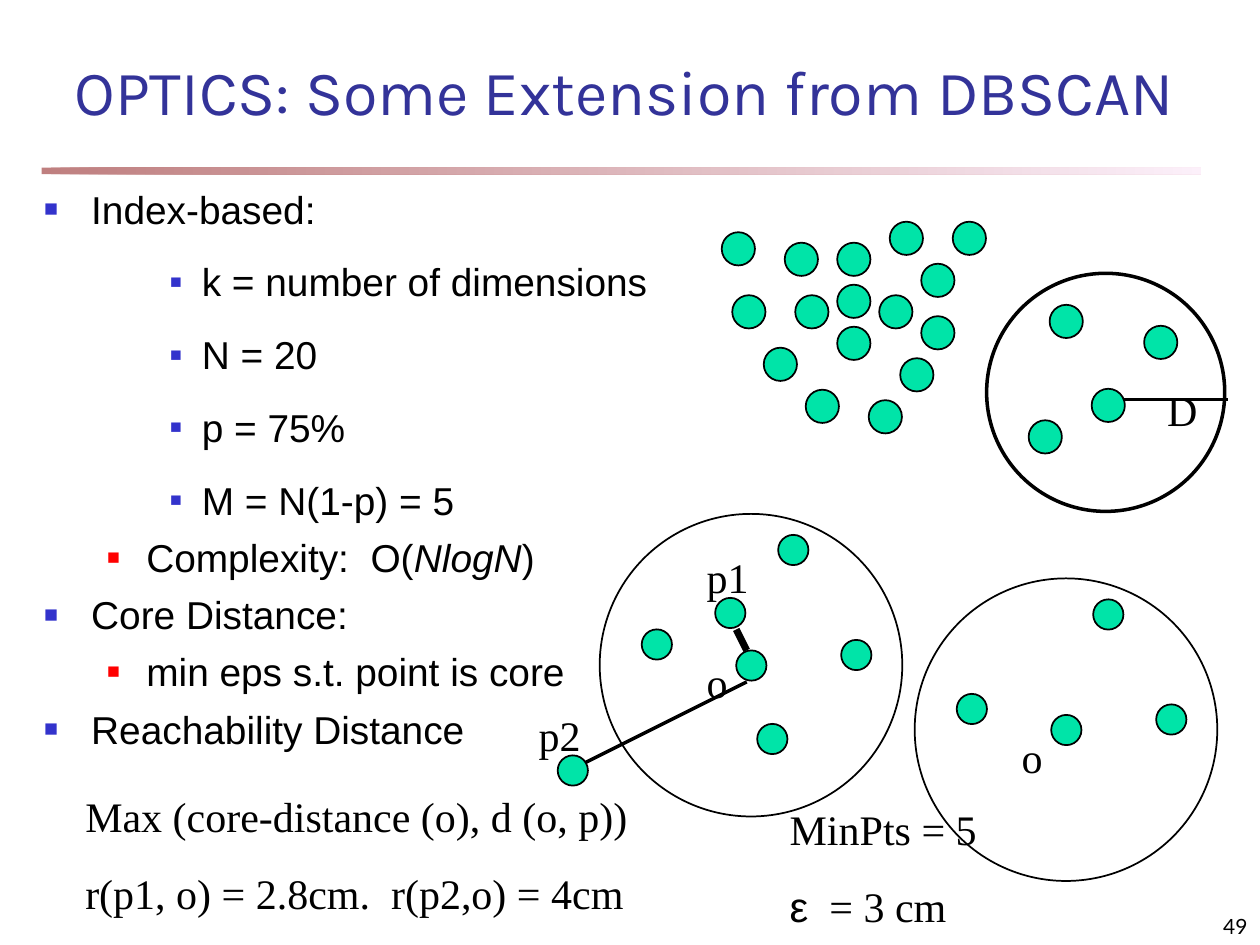
from dataclasses import dataclass

from lxml import etree
from pptx import Presentation
from pptx.dml.color import RGBColor
from pptx.enum.shapes import MSO_CONNECTOR, MSO_SHAPE
from pptx.enum.text import MSO_ANCHOR, PP_ALIGN
from pptx.oxml.ns import qn
from pptx.util import Cm, Pt

OVAL, BAR = MSO_SHAPE.OVAL, MSO_SHAPE.RECTANGLE
STRAIGHT = MSO_CONNECTOR.STRAIGHT
TOP, MIDDLE, BOTTOM = MSO_ANCHOR.TOP, MSO_ANCHOR.MIDDLE, MSO_ANCHOR.BOTTOM
LEFT, CENTER, RIGHT = PP_ALIGN.LEFT, PP_ALIGN.CENTER, PP_ALIGN.RIGHT
STEP = 2.54 / 12


@dataclass(frozen=True)
class Theme:
    """Colours, fonts and type sizes of the slide."""
    title: str = "333399"
    ink: str = "000000"
    dot: str = "00E4A8"
    blue_bullet: str = "3333CC"
    red_bullet: str = "FF0000"
    bar_start: str = "800000"
    bar_end: str = "FAE2F6"
    title_font: str = "Karla"
    body_font: str = "Arial"
    label_font: str = "Times New Roman"
    number_font: str = "Lato"
    title_size: float = 36
    body_size: float = 22.2
    label_size: float = 24
    number_size: float = 12


THEME = Theme()

LEVELS = [
    (0.95, -0.95, 6, THEME.blue_bullet, 60),
    (2.06, -0.79, 6, THEME.red_bullet, 55),
    (3.18, -0.64, 15, THEME.blue_bullet, 50),
]
OUTLINE = [
    (0, ["Index-based:"]),
    (2, ["k = number of dimensions"]),
    (2, ["N = 20"]),
    (2, ["p = 75%"]),
    (2, ["M = N(1-p) = 5"]),
    (1, ["Complexity:  O(", "NlogN", ")"]),
    (0, ["Core Distance:"]),
    (1, ["min eps s.t. point is core"]),
    (0, ["Reachability Distance"]),
]
CLUSTER = [(0, 1), (1, 7), (4, 12), (6, 2), (7, 7), (8, 16), (11, 2), (11, 6),
           (11, 10), (14, 17), (15, 7), (16, 0), (17, 13), (19, 4), (19, 9), (22, 0)]
DISTANCE = [(4, 14), (6, 3), (10, 11), (15, 5)]
OBJECT = [(4, 11), (13, 13), (17, 2), (23, 12)]
REACHABLE = OBJECT + [(11, 8), (15, 20), (-4, 23)]


def style_font(font, name, size, color):
    """Set typeface, size and colour."""
    font.name, font.size = name, Pt(size)
    font.color.rgb = RGBColor.from_string(color)


def add_oval(slide, left, top, size, width, fill=None):
    """Draw an outlined circle, filled when a colour is given."""
    oval = slide.shapes.add_shape(OVAL, Cm(left), Cm(top), Cm(size), Cm(size))
    oval.shadow.inherit = False
    if fill:
        oval.fill.solid()
        oval.fill.fore_color.rgb = RGBColor.from_string(fill)
    else:
        oval.fill.background()
    oval.line.color.rgb = RGBColor.from_string(THEME.ink)
    oval.line.width = Pt(width)


def add_dots(slide, left, top, points, size):
    """Draw data points placed in grid steps from a corner."""
    for column, row in points:
        add_oval(slide, left + column * STEP, top + row * STEP, size, 1, THEME.dot)


def add_line(slide, start, end, width):
    """Draw a straight line between two positions."""
    line = slide.shapes.add_connector(STRAIGHT, *map(Cm, start + end))
    line.line.color.rgb = RGBColor.from_string(THEME.ink)
    line.line.width = Pt(width)
    etree.SubElement(line._element.spPr, qn("a:effectLst"))


def add_text(slide, box, lines, font=THEME.label_font, size=THEME.label_size,
             align=LEFT, anchor=TOP):
    """Place lines of text in a box; each line is a list of runs."""
    frame = slide.shapes.add_textbox(*map(Cm, box)).text_frame
    frame.word_wrap, frame.vertical_anchor = True, anchor
    for index, texts in enumerate(lines):
        paragraph = frame.add_paragraph() if index else frame.paragraphs[0]
        paragraph.alignment = align
        if index:
            paragraph.space_before = Pt(15)
        for text in texts:
            run = paragraph.add_run()
            run.text = text
            style_font(run.font, font, size, THEME.ink)
    return frame


def add_heading(slide, box):
    """Format the title and draw the fading rule beneath it."""
    left, top, width, height = box
    title = slide.shapes.title
    title.left, title.top, title.width, title.height = map(Cm, box)
    frame = title.text_frame
    frame.text = "OPTICS: Some Extension from DBSCAN"
    frame.vertical_anchor, frame.word_wrap = MIDDLE, True
    frame.paragraphs[0].alignment = CENTER
    style_font(frame.paragraphs[0].runs[0].font, THEME.title_font,
               THEME.title_size, THEME.title)
    bar = slide.shapes.add_shape(BAR, Cm(left), Cm(top + 2.16), Cm(23.37), Cm(0.13))
    bar.shadow.inherit = False
    bar.line.fill.background()
    bar.fill.gradient()
    bar.fill.gradient_angle = 0
    for stop, color, position in zip(bar.fill.gradient_stops,
                                     (THEME.bar_start, THEME.bar_end), (0, 1)):
        stop.color.rgb = RGBColor.from_string(color)
        stop.position = position
    for color in bar._element.spPr.iter(qn("a:srgbClr")):
        etree.SubElement(color, qn("a:alpha"), val="50000")


def add_outline(slide, box):
    """Write the bulleted outline with its three levels."""
    frame = add_text(slide, box, [texts for _, texts in OUTLINE],
                     THEME.body_font, THEME.body_size)
    for index, (paragraph, (level, _)) in enumerate(zip(frame.paragraphs, OUTLINE)):
        margin, indent, space, color, percent = LEVELS[level]
        paragraph.level = level
        paragraph.space_before = Pt(space if index else 0)
        properties = paragraph._p.get_or_add_pPr()
        properties.set("marL", str(Cm(margin)))
        properties.set("indent", str(Cm(indent)))
        bullet_color = etree.SubElement(properties, qn("a:buClr"))
        etree.SubElement(bullet_color, qn("a:srgbClr"), val=color)
        etree.SubElement(properties, qn("a:buSzPct"), val=str(percent * 1000))
        etree.SubElement(properties, qn("a:buFont"), typeface=THEME.body_font)
        etree.SubElement(properties, qn("a:buChar"), char="■")
        if len(paragraph.runs) > 1:
            paragraph.runs[1].font.italic = True


def add_neighbourhood(slide, box, points, dot_size, labels, lines=(), width=1):
    """Draw a circle with its points, labels and distance lines."""
    left, top, size = box

    def place(column, row):
        """Turn grid steps into a position."""
        return left + column * STEP, top + row * STEP

    add_oval(slide, left, top, size, width)
    for start, end, line_width in lines:
        add_line(slide, place(*start), place(*end), line_width)
    add_dots(slide, left, top, points, dot_size)
    for text, position in labels:
        add_text(slide, (*place(*position), 1.48, 1.27), [[text]])


def main():
    """Build and save the slide."""
    presentation = Presentation()
    presentation.slide_width, presentation.slide_height = Cm(25.4), Cm(19.05)
    slide = presentation.slides.add_slide(presentation.slide_layouts[5])
    add_heading(slide, (0.84, 1.22, 23.5, 1.22))
    add_outline(slide, (0.64, 3.61, 14.4, 11))
    add_dots(slide, 14.55, 4.47, CLUSTER, 0.67)
    add_neighbourhood(slide, (19.89, 5.51, 4.8), DISTANCE, 0.67, [("D", (16, 10))],
                      [((13, 12), (23, 12), 2)], 2)
    add_neighbourhood(slide, (12.09, 10.36, 6.1), REACHABLE, 0.61,
                      [("o", (9, 13)), ("p1", (9, 3)), ("p2", (-7, 18))],
                      [((13, 11), (14, 13), 4), ((14, 16), (-2, 24), 2)])
    add_neighbourhood(slide, (18.44, 11.66, 6.1), OBJECT, 0.61, [("o", (9, 14))])
    parameters = add_text(slide, (15.67, 16.08, 4.88, 2.82),
                          [["MinPts = 5"], ["ε", "  = 3 cm"]])
    parameters.paragraphs[1].runs[0].font.name = THEME.body_font
    add_text(slide, (1.47, 15.82, 12.07, 2.82),
             [["Max (core-distance (o), d (o, p))"],
              ["r(p1, o) = 2.8cm.  r(p2,o) = 4cm"]])
    add_text(slide, (20.12, 17.98, 5.28, 1.07), [["49"]], THEME.number_font,
             THEME.number_size, RIGHT, BOTTOM)
    presentation.save("out.pptx")


if __name__ == "__main__":
    main()
